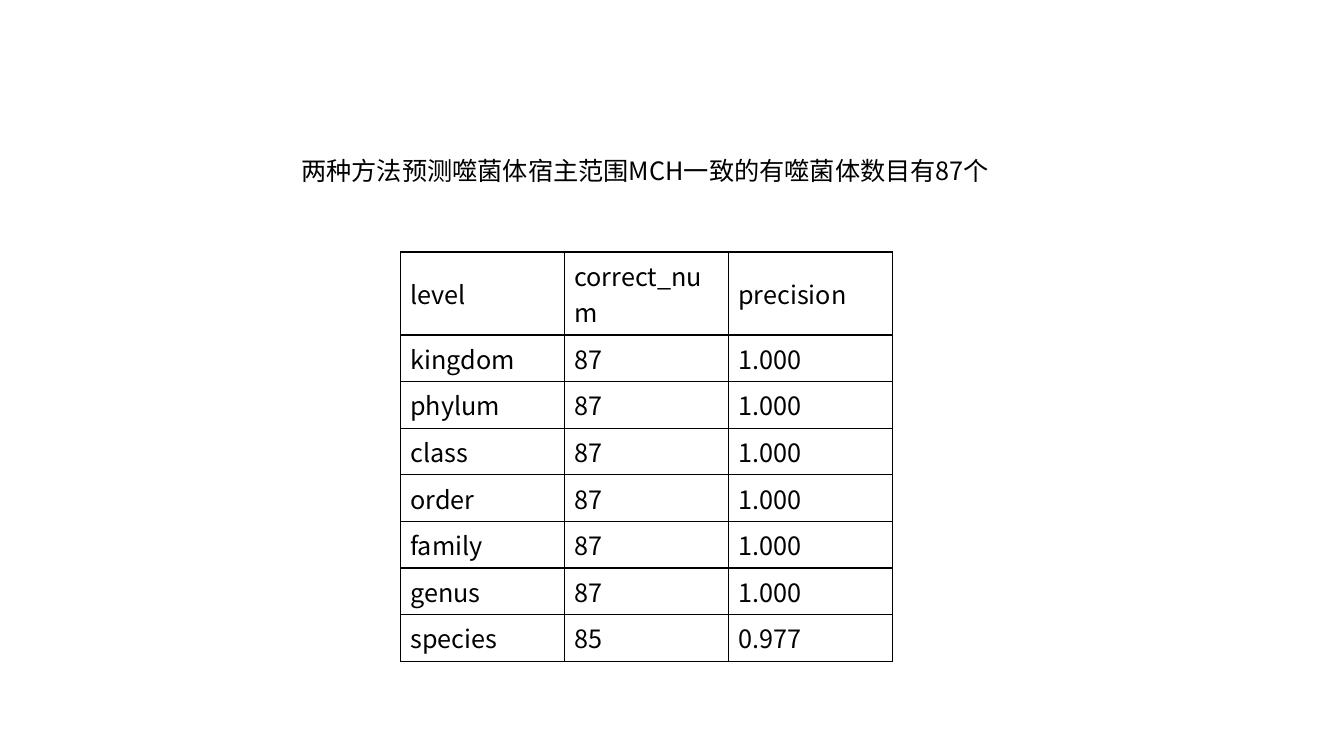
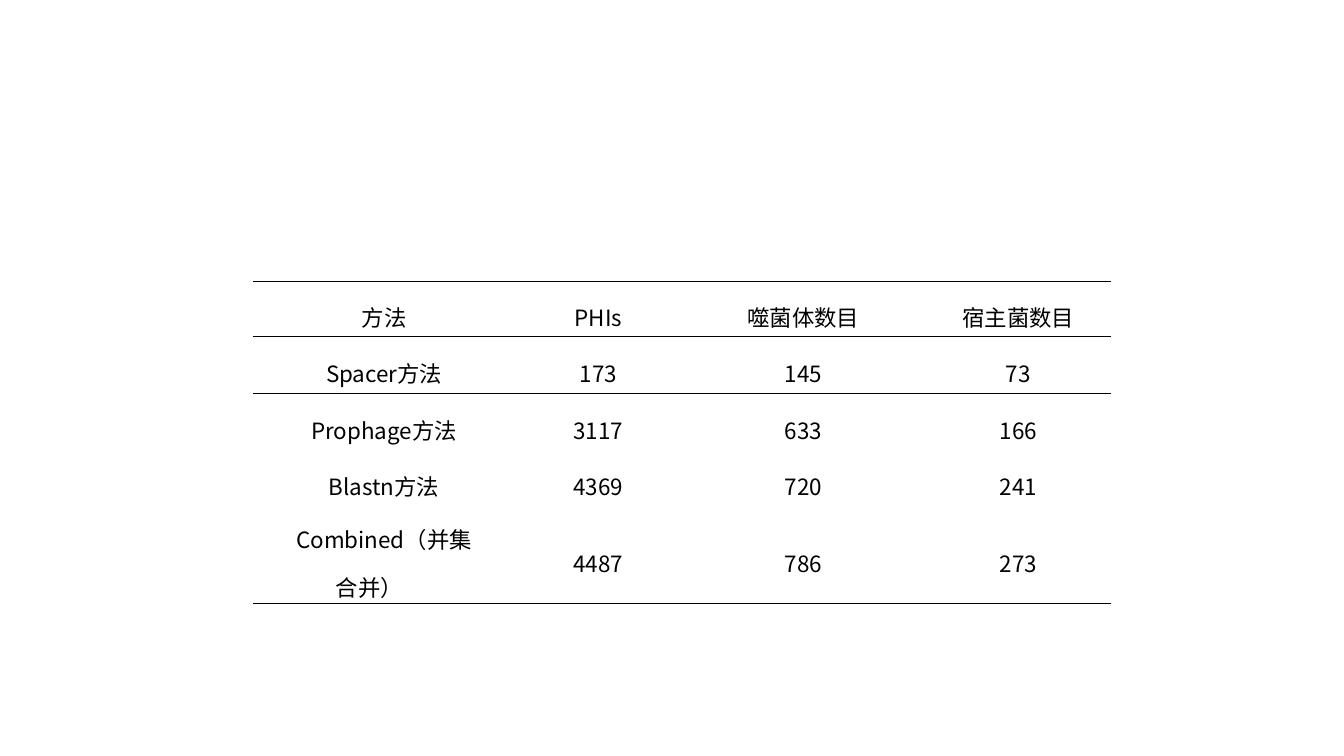
from lxml import etree
from pptx import Presentation
from pptx.dml.color import RGBColor
from pptx.enum.text import MSO_ANCHOR, PP_ALIGN
from pptx.oxml.ns import qn
from pptx.util import Inches, Pt

MIDDLE, CENTER = MSO_ANCHOR.MIDDLE, PP_ALIGN.CENTER
FONT, INK = "Noto Sans CJK SC", "000000"
WIDE, HIGH = 13.33, 7.5
SIDES = {"l": "a:lnL", "r": "a:lnR", "t": "a:lnT", "b": "a:lnB"}

# Content
TITLE = "两种方法预测噬菌体宿主范围MCH一致的有噬菌体数目有87个"
LEVELS = [
    ("level", "correct_num", "precision"),
    ("kingdom", "87", "1.000"),
    ("phylum", "87", "1.000"),
    ("class", "87", "1.000"),
    ("order", "87", "1.000"),
    ("family", "87", "1.000"),
    ("genus", "87", "1.000"),
    ("species", "85", "0.977"),
]
METHODS = [
    ("方法", "PHIs", "噬菌体数目", "宿主菌数目"),
    ("Spacer方法", "173", "145", "73"),
    ("Prophage方法", "3117", "633", "166"),
    ("Blastn方法", "4369", "720", "241"),
    ("Combined（并集合并）", "4487", "786", "273"),
]


def color(code):
    return RGBColor.from_string(code)


def style(para, size):
    font = para.font
    font.name, font.size = FONT, Pt(size)
    font.color.rgb = color(INK)
    # East Asian text takes the same typeface
    east = etree.Element(qn("a:ea"), typeface=FONT)
    font._element.find(qn("a:latin")).addnext(east)


def border(cell, shown):
    """Rule the sides in shown and clear the others."""
    props = cell._tc.get_or_add_tcPr()
    for pos, (side, tag) in enumerate(SIDES.items()):
        line = etree.Element(qn(tag), w=str(Pt(1)))
        if side in shown:
            fill = etree.SubElement(line, qn("a:solidFill"))
            etree.SubElement(fill, qn("a:srgbClr"), val=INK)
        else:
            etree.SubElement(line, qn("a:noFill"))
        props.insert(pos, line)


def center(cell):
    """Centred, widely spaced text in a tight cell."""
    cell.margin_left = cell.margin_right = Inches(0.07)
    cell.margin_top = cell.margin_bottom = 0
    para = cell.text_frame.paragraphs[0]
    para.alignment, para.line_spacing = CENTER, 1.5
    para._p.get_or_add_pPr().set("indent", str(Inches(0.29)))


def grid(slide, data, left, top, cols, rows, size, rule, tight=False):
    frame = slide.shapes.add_table(
        len(rows), len(cols), Inches(left), Inches(top),
        Inches(sum(cols)), Inches(sum(rows)))
    table = frame.table
    table.first_row = table.horz_banding = False
    for col, width in zip(table.columns, cols):
        col.width = Inches(width)
    for r, (row, height) in enumerate(zip(table.rows, rows)):
        row.height = Inches(height)
        for cell, text in zip(row.cells, data[r]):
            cell.text = text
            cell.vertical_anchor = MIDDLE
            cell.fill.background()
            border(cell, rule(r))
            if tight:
                center(cell)
            style(cell.text_frame.paragraphs[0], size)


def boxed(row):
    return "lrtb"


def ruled(row):
    """Lines around the first two rows and under the last."""
    return {0: "tb", 1: "tb", 2: "t", len(METHODS) - 1: "b"}.get(row, "")


def main():
    deck = Presentation()
    deck.slide_width, deck.slide_height = Inches(WIDE), Inches(HIGH)
    blank = deck.slide_layouts[6]

    # Precision by level
    slide = deck.slides.add_slide(blank)
    grid(slide, LEVELS, 3.97, 2.5, [4.88 / 3] * 3, [0.4] * len(LEVELS),
         18, boxed)
    box = slide.shapes.add_textbox(
        Inches(2.89), Inches(1.49), Inches(7.24), Inches(0.4))
    box.text_frame.word_wrap = True
    box.text_frame.text = TITLE
    style(box.text_frame.paragraphs[0], 18)

    # Counts by method; the last row holds two lines of text
    slide = deck.slides.add_slide(blank)
    grid(slide, METHODS, 2.51, 2.79, [2.31, 1.94, 2.13, 2.13],
         [0.55, 0.56, 0.56, 0.56, 0.97], 16, ruled, tight=True)

    deck.save("out.pptx")


if __name__ == "__main__":
    main()
